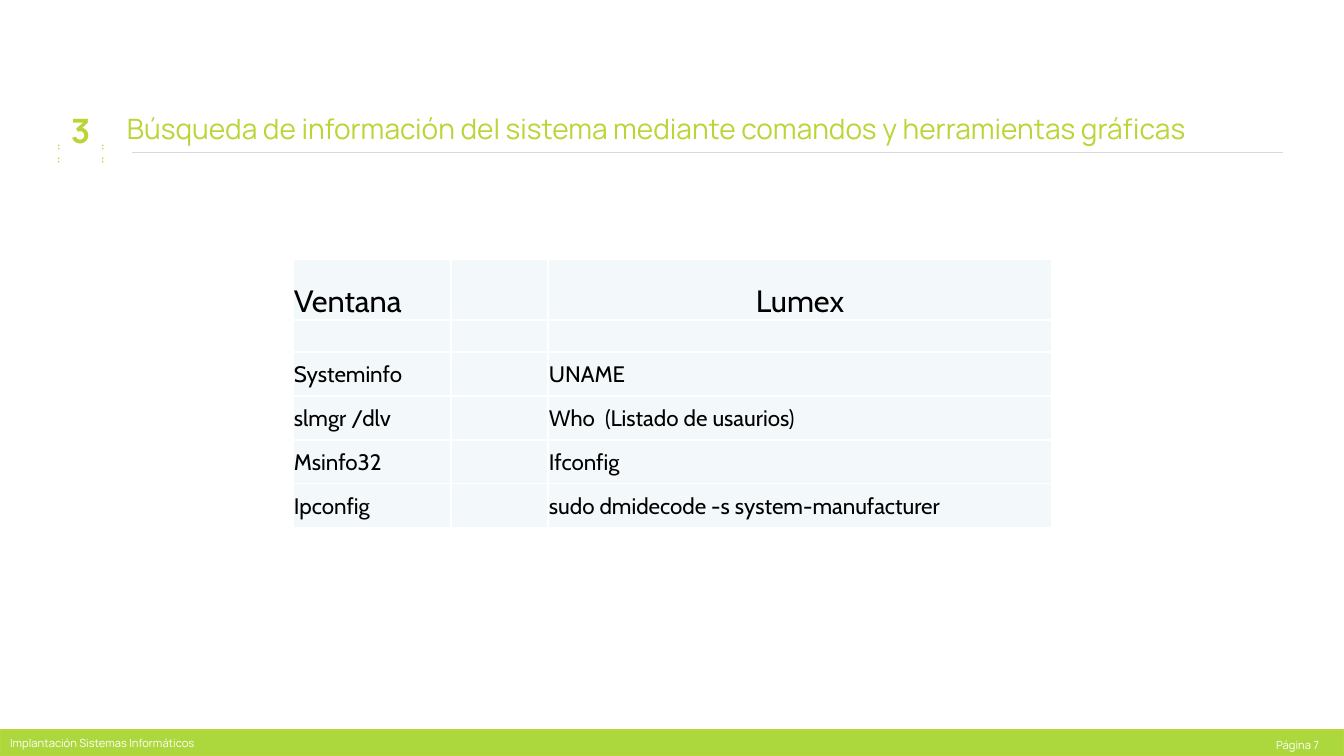
from lxml import etree
from pptx import Presentation
from pptx.dml.color import RGBColor
from pptx.enum.shapes import MSO_CONNECTOR, MSO_SHAPE
from pptx.enum.text import MSO_ANCHOR as ANCHOR, PP_ALIGN as ALIGN
from pptx.oxml.ns import qn
from pptx.util import Emu, Pt

SLIDE = (1344, 756)
EMU_PER_PX = 12192000 / 1344

TITLE = "Búsqueda de información del sistema mediante comandos y herramientas gráficas"
SECTION = "3"
COURSE = "Implantación Sistemas Informáticos"
PAGE = "Página 7"
DOTS = "::"
COMMANDS = [
    ("Ventana", "", "Lumex"),
    ("", "", ""),
    ("Systeminfo", "", "UNAME"),
    ("slmgr /dlv", "", "Who  (Listado de usaurios)"),
    ("Msinfo32", "", "Ifconfig"),
    ("Ipconfig", "", "sudo dmidecode -s system-manufacturer"),
]
COLUMNS = (158, 97, 504)
ROWS = (61, 32, 44, 44, 44, 44)
TABLE_AT = (293, 259)

LIME, BAR, BAR_EDGE = "B9D536", "ACD83D", "B6D83C"
WHITE, BLACK, RULE, CELL = "FFFFFF", "000000", "D9D9D9", "F3F9FA"
FOOTER_FONT = {"name": "Manrope", "size": Pt(8)}
DOTS_FONT = {"name": "Manrope", "size": Pt(8), "bold": True}
SECTION_FONT = {"name": "Manrope", "size": Pt(24), "bold": True}
TITLE_FONT = {"name": "Manrope", "size": Pt(20), "bold": False}
HEADER_FONT = {"name": "Cabin", "size": Pt(22)}
COMMAND_FONT = {"name": "Cabin", "size": Pt(16)}
FRAME = {"margin_left": 10, "margin_right": 10, "margin_top": 5, "margin_bottom": 5}
DOTS_FRAME = {**FRAME, "margin_right": 13}
CELL_FRAME = {"margin_left": 1, "margin_right": 1, "margin_top": 1, "margin_bottom": 0}


def px(length):
    """Turn px into EMU."""
    return Emu(round(length * EMU_PER_PX))


def color(value):
    """Turn a hex string into a colour."""
    return RGBColor.from_string(value)


def fill(part, value):
    """Give a part a solid fill."""
    part.fill.solid()
    part.fill.fore_color.rgb = color(value)


def apply(target, values):
    """Set attributes from a dict."""
    for key, value in values.items():
        setattr(target, key, value)


def write(frame, text, font, ink, align=ALIGN.LEFT):
    """Write one formatted paragraph."""
    paragraph = frame.paragraphs[0]
    paragraph.alignment = align
    run = paragraph.add_run()
    run.text = text
    apply(run.font, font)
    run.font.color.rgb = color(ink)


def set_frame(frame, margins, anchor):
    """Set wrapping, margins and anchor of a text frame."""
    apply(frame, {key: px(value) for key, value in margins.items()})
    apply(frame, {"word_wrap": True, "vertical_anchor": anchor})


def label(slide, box, text, font, ink, align=ALIGN.LEFT, anchor=ANCHOR.TOP, margins=FRAME):
    """Add a text box."""
    frame = slide.shapes.add_textbox(*map(px, box)).text_frame
    set_frame(frame, margins, anchor)
    write(frame, text, font, ink, align)


def add_title(slide):
    """Place and format the title."""
    title = slide.shapes.title
    apply(title, dict(zip(("left", "top", "width", "height"), map(px, (117, 106, 1204, 44)))))
    fill(title, WHITE)
    set_frame(title.text_frame, FRAME, ANCHOR.MIDDLE)
    write(title.text_frame, TITLE, TITLE_FONT, LIME)


def add_footer(slide):
    """Add the bottom bar with course and page."""
    bar = slide.shapes.add_shape(MSO_SHAPE.RECTANGLE, *map(px, (0, 730, 1344, 26)))
    bar.shadow.inherit = False
    fill(bar, BAR)
    bar.line.color.rgb = color(BAR_EDGE)
    bar.line.width = Pt(0.75)
    set_frame(bar.text_frame, FRAME, ANCHOR.MIDDLE)
    write(bar.text_frame, COURSE, FOOTER_FONT, WHITE)
    label(slide, (1096, 733, 233, 24), PAGE, FOOTER_FONT, WHITE, ALIGN.RIGHT)


def add_rule(slide):
    """Add the thin line under the title."""
    rule = slide.shapes.add_connector(MSO_CONNECTOR.STRAIGHT, *map(px, (1283, 152, 132, 152)))
    rule.line.color.rgb = color(RULE)
    rule.line.width = Pt(0.25)
    etree.SubElement(rule._element.spPr, qn("a:effectLst"))


def add_borders(cell):
    """Draw white borders around a cell."""
    properties = cell._tc.get_or_add_tcPr()
    for index, side in enumerate(("a:lnL", "a:lnR", "a:lnT", "a:lnB")):
        border = etree.Element(qn(side), w=str(Pt(1)))
        solid = etree.SubElement(border, qn("a:solidFill"))
        etree.SubElement(solid, qn("a:srgbClr"), val=WHITE)
        properties.insert(index, border)


def add_commands(slide):
    """Add the table of commands."""
    size = (sum(COLUMNS), sum(ROWS))
    table = slide.shapes.add_table(len(ROWS), len(COLUMNS), *map(px, TABLE_AT + size)).table
    apply(table, {"first_row": False, "horz_banding": False})
    for column, width in zip(table.columns, COLUMNS):
        column.width = px(width)
    for r, (row, height) in enumerate(zip(table.rows, ROWS)):
        row.height = px(height)
        header = r == 0
        for c, (cell, text) in enumerate(zip(row.cells, COMMANDS[r])):
            apply(cell, {key: px(value) for key, value in CELL_FRAME.items()})
            cell.vertical_anchor = ANCHOR.BOTTOM if header else ANCHOR.MIDDLE
            fill(cell, CELL)
            add_borders(cell)
            if text:
                align = ALIGN.CENTER if header and c == 2 else ALIGN.LEFT
                write(cell.text_frame, text, HEADER_FONT if header else COMMAND_FONT, BLACK, align)


def main():
    """Build and save the slide."""
    deck = Presentation()
    deck.slide_width, deck.slide_height = map(px, SLIDE)
    slide = deck.slides.add_slide(deck.slide_layouts[5])
    add_footer(slide)
    add_rule(slide)
    for left in (47, 91):
        label(slide, (left, 134, 27, 24), DOTS, DOTS_FONT, LIME, margins=DOTS_FRAME)
    label(slide, (44, 111, 73, 39), SECTION, SECTION_FONT, LIME, ALIGN.CENTER, ANCHOR.MIDDLE)
    add_title(slide)
    add_commands(slide)
    deck.save("out.pptx")


if __name__ == "__main__":
    main()
